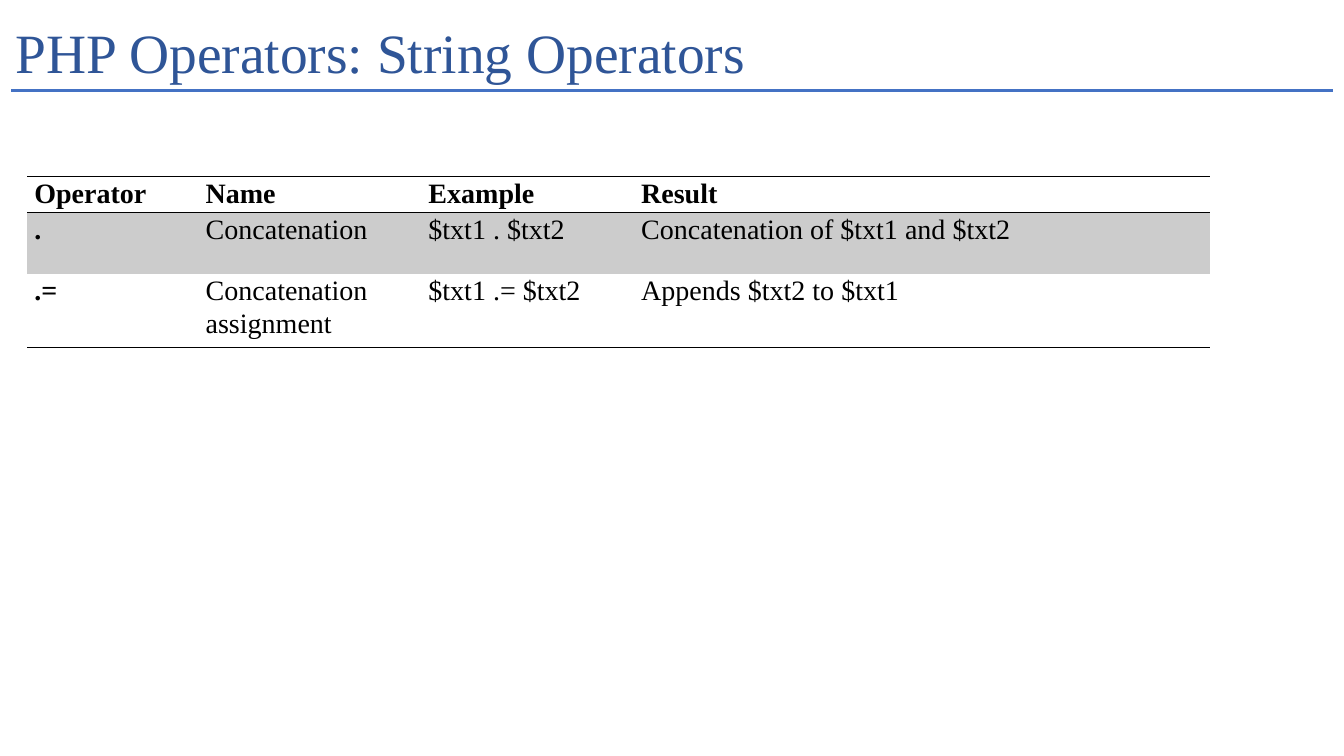
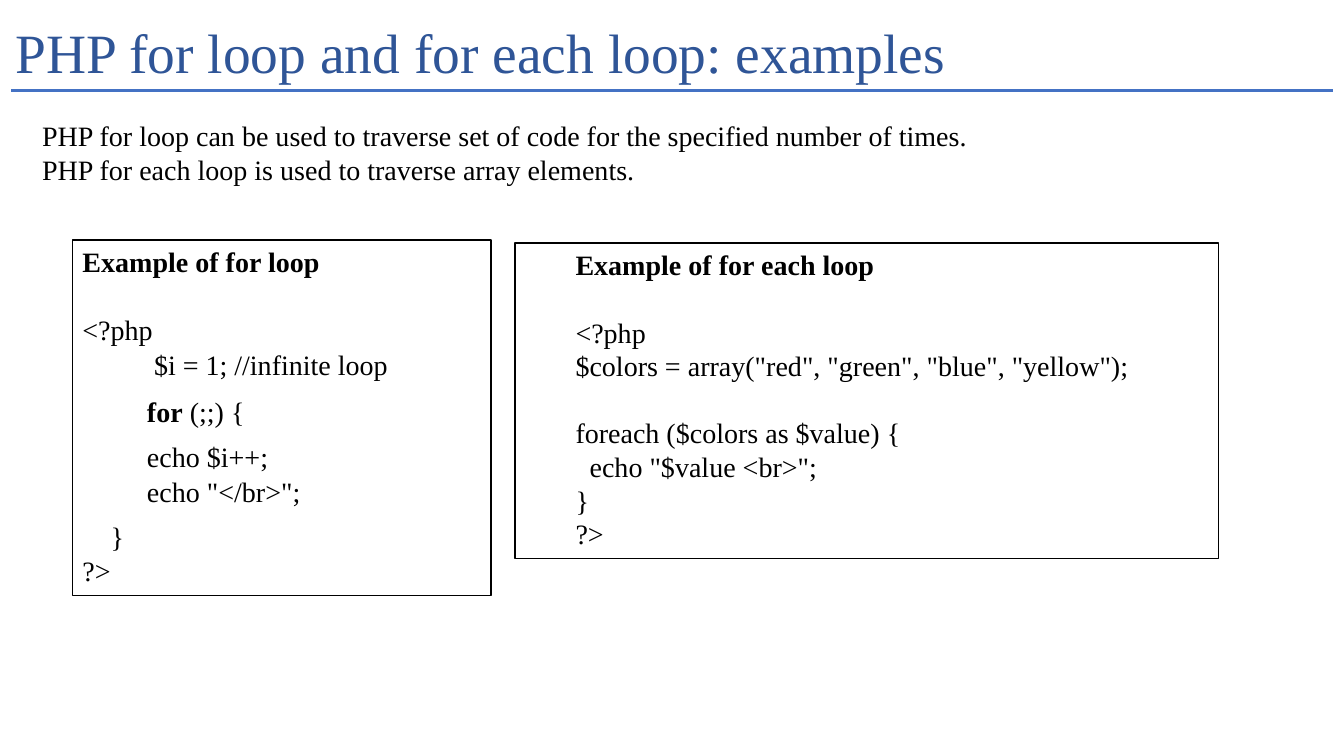
"""Builds two slides on PHP string operators and loops."""
from dataclasses import dataclass

from lxml import etree
from pptx import Presentation
from pptx import util as u
from pptx.dml import color
from pptx.enum import shapes, text
from pptx.oxml import ns

FONT = "Times New Roman"
INK, TITLE_BLUE, RULE_BLUE = "000000", "2F5597", "4472C4"
PAPER, BAND_GREY = "FFFFFF", "CCCCCC"
SLIDE_WIDTH, SLIDE_HEIGHT = u.Inches(13.33), u.Inches(7.5)
BLANK_LAYOUT = 6
BLANK_LINE = 24
COLUMN_SHARES = (12.75, 16.58, 15.83, 42.83)
ROW_SHARES = (4.8, 8.13, 9.73)


@dataclass(frozen=True)
class Area:
    """A rectangle in percent of the slide's width and height."""
    left: float
    top: float
    width: float
    height: float

    def lengths(self) -> tuple[int, int, int, int]:
        return across(self.left), down(self.top), across(self.width), down(self.height)


@dataclass(frozen=True)
class TextStyle:
    """Size, colour, alignment and anchor of a block of text."""
    size: float
    ink: str
    align: text.PP_ALIGN
    anchor: text.MSO_ANCHOR


@dataclass(frozen=True)
class Line:
    """A paragraph with a bold lead, then plain text; indent in inches."""
    lead: str = ""
    plain: str = ""
    indent: float = 0
    before: float = 0
    spaced: bool = False


@dataclass(frozen=True)
class CodeBox:
    """A framed code example."""
    area: Area
    lines: tuple[Line, ...]


TITLE = TextStyle(39.6, TITLE_BLUE, text.PP_ALIGN.LEFT, text.MSO_ANCHOR.MIDDLE)
BODY = TextStyle(20, INK, text.PP_ALIGN.JUSTIFY, text.MSO_ANCHOR.TOP)
TITLE_AREA = Area(0.45, 2.4, 98.25, 10)
RULE_AREA = Area(0.83, 12, 98.34, 0)
INTRO_AREA = Area(2.4, 15.07, 95.25, 10.27)
TABLE_AREA = Area(2.03, 23.33, sum(COLUMN_SHARES), sum(ROW_SHARES))

OPERATORS = (
    ("Operator", "Name", "Example", "Result"),
    (".", "Concatenation", "$txt1 . $txt2", "Concatenation of $txt1 and $txt2"),
    (".=", "Concatenation assignment", "$txt1 .= $txt2", "Appends $txt2 to $txt1"),
)
INTRO = (
    Line(plain="PHP for loop can be used to traverse set of code for the specified number of times."),
    Line(plain="PHP for each loop is used to traverse array elements."),
)
CODE_BOXES = (
    CodeBox(Area(5.4, 31.73, 31.13, 47.07), (
        Line("Example of for loop"),
        Line(plain="<?php", before=BLANK_LINE),
        Line(plain="$i = 1; //infinite loop", indent=0.71, spaced=True),
        Line("for", " (;;) {", indent=0.64, spaced=True),
        Line(plain="echo $i++;", indent=0.64),
        Line(plain='echo "</br>";', indent=0.64, spaced=True),
        Line(plain="}", indent=0.28),
        Line(plain="?>"),
    )),
    CodeBox(Area(38.33, 32.13, 52.35, 41.73), (
        Line("Example of for each loop", indent=0.5),
        Line(plain="<?php", indent=0.5, before=BLANK_LINE),
        Line(plain='$colors = array("red", "green", "blue", "yellow");', indent=0.5),
        Line(plain="foreach ($colors as $value) {", indent=0.5, before=BLANK_LINE),
        Line(plain='echo "$value <br>";', indent=0.64),
        Line(plain="}", indent=0.5),
        Line(plain="?>", indent=0.5),
    )),
)


def across(percent: float) -> int:
    return round(SLIDE_WIDTH * percent / 100)


def down(percent: float) -> int:
    return round(SLIDE_HEIGHT * percent / 100)


def rgb(code: str) -> color.RGBColor:
    return color.RGBColor.from_string(code)


def paint(fill, code: str) -> None:
    fill.solid()
    fill.fore_color.rgb = rgb(code)


def write_lines(frame, lines: tuple[Line, ...], style: TextStyle) -> None:
    frame.word_wrap = True
    frame.vertical_anchor = style.anchor
    frame.text = "\n".join(line.lead or line.plain for line in lines)
    for para, line in zip(frame.paragraphs, lines):
        if line.lead and line.plain:
            para.add_run().text = line.plain
        para.alignment = style.align
        para.space_before = u.Pt(line.before)
        if line.spaced:
            para.line_spacing = 1.06
            para.space_after = u.Pt(8)
        if line.indent:
            properties = para._p.get_or_add_pPr()
            properties.set("marL", str(u.Inches(line.indent)))
            properties.set("indent", "0")
        for index, span in enumerate(para.runs):
            span.font.name = FONT
            span.font.size = u.Pt(style.size)
            span.font.bold = bool(line.lead) and index == 0
            span.font.color.rgb = rgb(style.ink)


def add_text(page, area: Area, lines: tuple[Line, ...], style: TextStyle):
    box = page.shapes.add_textbox(*area.lengths())
    write_lines(box.text_frame, lines, style)
    return box


def add_page(deck, title: str):
    page = deck.slides.add_slide(deck.slide_layouts[BLANK_LAYOUT])
    left, top, width, height = RULE_AREA.lengths()
    rule = page.shapes.add_connector(
        shapes.MSO_CONNECTOR.STRAIGHT, left, top, left + width, top + height)
    rule.line.color.rgb = rgb(RULE_BLUE)
    rule.line.width = u.Pt(2.25)
    etree.SubElement(rule._element.spPr, ns.qn("a:effectLst"))
    heading = add_text(page, TITLE_AREA, (Line(plain=title),), TITLE)
    heading.text_frame.paragraphs[0].line_spacing = 0.9
    return page


def set_borders(cell, ruled_sides: str) -> None:
    properties = cell._tc.get_or_add_tcPr()
    for position, side in enumerate("LRTB"):
        border = etree.Element(ns.qn(f"a:ln{side}"), w=str(u.Pt(1)))
        if side in ruled_sides:
            fill = etree.SubElement(border, ns.qn("a:solidFill"))
            etree.SubElement(fill, ns.qn("a:srgbClr"), val=INK)
        else:
            etree.SubElement(border, ns.qn("a:noFill"))
        properties.insert(position, border)


def add_operator_table(page) -> None:
    table = page.shapes.add_table(
        len(ROW_SHARES), len(COLUMN_SHARES), *TABLE_AREA.lengths()).table
    table.first_row = table.horz_banding = False
    for column, share in zip(table.columns, COLUMN_SHARES):
        column.width = across(share)
    for row, share in zip(table.rows, ROW_SHARES):
        row.height = down(share)
    for row_index, values in enumerate(OPERATORS):
        for column_index, value in enumerate(values):
            cell = table.cell(row_index, column_index)
            cell.margin_left = cell.margin_right = u.Inches(0.07)
            cell.margin_top = cell.margin_bottom = 0
            heading = row_index == 0 or column_index == 0
            line = Line(value, spaced=True) if heading else Line(plain=value, spaced=True)
            write_lines(cell.text_frame, (line,), BODY)
            if row_index == 1:
                paint(cell.fill, BAND_GREY)
            else:
                cell.fill.background()
            set_borders(cell, ("TB", "T", "B")[row_index])


def add_code_box(page, example: CodeBox) -> None:
    box = page.shapes.add_shape(shapes.MSO_SHAPE.RECTANGLE, *example.area.lengths())
    box.shadow.inherit = False
    paint(box.fill, PAPER)
    box.line.color.rgb = rgb(INK)
    box.line.width = u.Pt(1)
    write_lines(box.text_frame, example.lines, BODY)


def main() -> None:
    deck = Presentation()
    deck.slide_width, deck.slide_height = SLIDE_WIDTH, SLIDE_HEIGHT
    add_operator_table(add_page(deck, "PHP Operators: String Operators"))
    loops = add_page(deck, "PHP for loop and for each loop: examples")
    add_text(loops, INTRO_AREA, INTRO, BODY)
    for example in CODE_BOXES:
        add_code_box(loops, example)
    deck.save("out.pptx")


if __name__ == "__main__":
    main()
